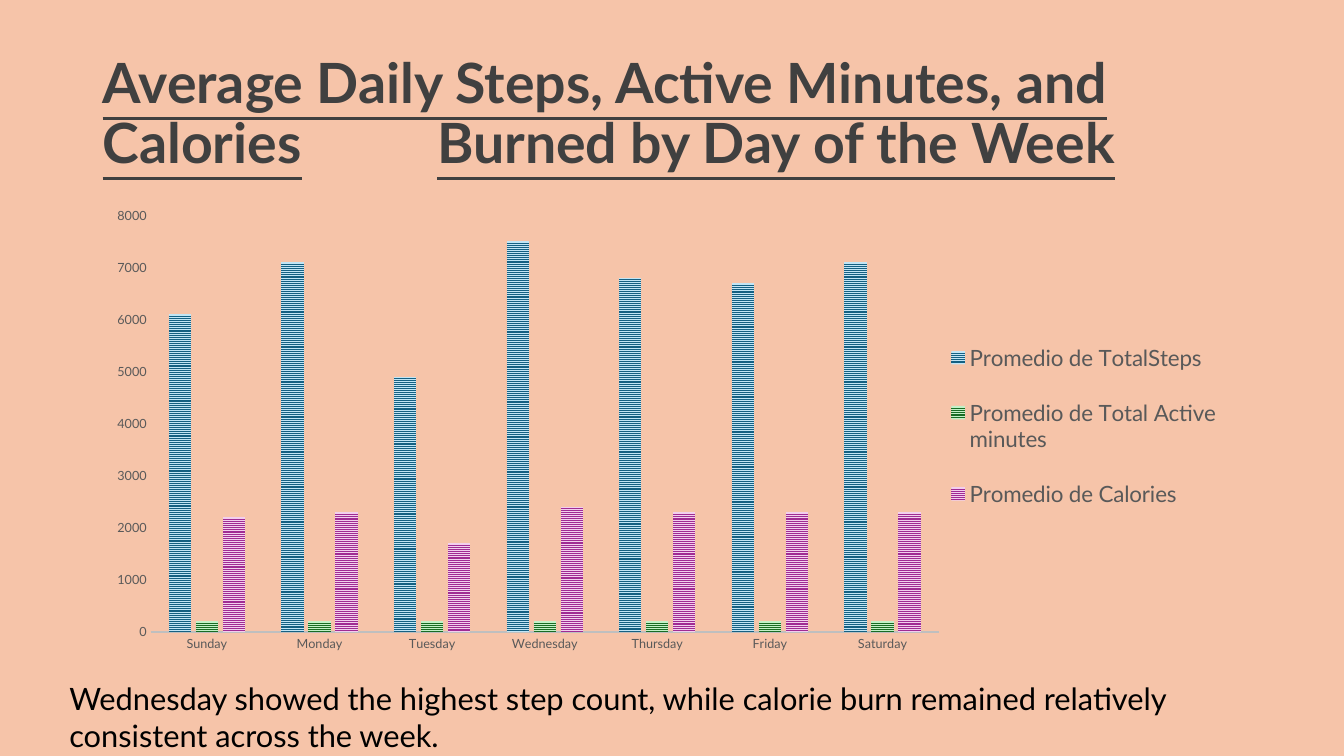
from lxml.etree import SubElement
from pptx import Presentation
from pptx.chart.data import CategoryChartData
from pptx.dml.color import RGBColor
from pptx.enum.chart import XL_CHART_TYPE, XL_LEGEND_POSITION, XL_TICK_MARK
from pptx.enum.dml import MSO_PATTERN
from pptx.oxml import parse_xml
from pptx.oxml.ns import nsdecls, qn
from pptx.util import Pt

FONT = "Lato"
PEACH = RGBColor(0xF6, 0xC4, 0xA9)
CHARCOAL = RGBColor(0x40, 0x40, 0x40)
GRAY = RGBColor(0x59, 0x59, 0x59)
SILVER = RGBColor(0xBF, 0xBF, 0xBF)
BLACK = RGBColor(0, 0, 0)
BLUE, PALE_BLUE = RGBColor(0x15, 0x60, 0x82), RGBColor(0xC1, 0xE5, 0xF5)
GREEN, PALE_GREEN = RGBColor(0x19, 0x6B, 0x24), RGBColor(0xC2, 0xF1, 0xC8)
PURPLE, PALE_PURPLE = RGBColor(0xA0, 0x2B, 0x93), RGBColor(0xF2, 0xCF, 0xEE)

TITLE = ("Average Daily Steps, Active Minutes, and\v"
         "Calories\tBurned by Day of the Week")
TAKEAWAY = ("Wednesday showed the highest step count, while calorie burn "
            "remained relatively consistent across the week.")
DAYS = ["Sunday", "Monday", "Tuesday", "Wednesday", "Thursday", "Friday", "Saturday"]
MEASURES = [
    ("Promedio de TotalSteps", [6100, 7100, 4900, 7500, 6800, 6700, 7100], BLUE, PALE_BLUE),
    ("Promedio de Total Active minutes", [200] * 7, GREEN, PALE_GREEN),
    ("Promedio de Calories", [2200, 2300, 1700, 2400, 2300, 2300, 2300], PURPLE, PALE_PURPLE),
]

TITLE_BOX = (66.2, 36.5, 866.9, 93)
CHART_BOX = (66.2, 144, 828, 326.9)
TAKEAWAY_BOX = (42.5, 481.7, 889.9, 60.5)
BURNED_TAB = 239
# Fractions of the chart: left, top, width, height
PLOT_AREA = (0.05, 0.03, 0.68, 0.91)
LEGEND_AREA = (0.73, 0.25, 0.25, 0.48)

TITLE_FORMAT = {"size": Pt(39.6), "bold": True, "underline": True}
AXIS_FORMAT = {"major_tick_mark": XL_TICK_MARK.NONE,
               "minor_tick_mark": XL_TICK_MARK.NONE,
               "has_major_gridlines": False}


def assign(target, values):
    for key, value in values.items():
        setattr(target, key, value)


def style_font(font, color, **values):
    assign(font, {"name": FONT, **values})
    font.color.rgb = color


def add_text(slide, box, text, color, **font_values):
    frame = slide.shapes.add_textbox(*map(Pt, box)).text_frame
    frame.word_wrap = True
    paragraph = frame.paragraphs[0]
    paragraph.text = text
    for run in paragraph.runs:
        style_font(run.font, color, **font_values)
    return paragraph


def layout_xml(area, inner=False):
    """Manual chart layout from fractions of the chart's size."""
    target = '<c:layoutTarget val="inner"/>' if inner else ""
    modes = "".join(f'<c:{m}Mode val="edge"/>' for m in "xy")
    sizes = "".join(f'<c:{n} val="{v}"/>' for n, v in zip("xywh", area))
    return parse_xml(f'<c:layout {nsdecls("c")}><c:manualLayout>{target}{modes}{sizes}'
                     '</c:manualLayout></c:layout>')


def add_activity_chart(slide):
    data = CategoryChartData(number_format="General")
    data.categories = DAYS
    for name, averages, _, _ in MEASURES:
        data.add_series(name, averages)
    chart = slide.shapes.add_chart(
        XL_CHART_TYPE.COLUMN_CLUSTERED, *map(Pt, CHART_BOX), data).chart
    chart.has_title = False
    style_font(chart.font, BLACK, size=Pt(10))

    plot = chart.plots[0]
    assign(plot, {"gap_width": 164, "overlap": -22, "vary_by_categories": False})
    for series, (_, _, stripe, ground) in zip(plot.series, MEASURES):
        fill = series.format.fill
        fill.patterned()
        fill.pattern = MSO_PATTERN.NARROW_HORIZONTAL
        fill.fore_color.rgb = stripe
        fill.back_color.rgb = ground

    for axis in (chart.category_axis, chart.value_axis):
        assign(axis, AXIS_FORMAT)
        style_font(axis.tick_labels.font, GRAY, size=Pt(9))
    day_line = chart.category_axis.format.line
    day_line.color.rgb = SILVER
    day_line.width = Pt(1.5)
    chart.value_axis.format.line.fill.background()
    assign(chart.value_axis, {"minimum_scale": 0, "maximum_scale": 8000, "major_unit": 1000})

    chart.has_legend = True
    legend = chart.legend
    assign(legend, {"position": XL_LEGEND_POSITION.RIGHT, "include_in_layout": False})
    style_font(legend.font, GRAY, size=Pt(16))

    plot_area = plot._element.getparent()
    for old in plot_area.findall(qn("c:layout")):
        plot_area.remove(old)
    plot_area.insert(0, layout_xml(PLOT_AREA, inner=True))
    legend_node = legend._element
    for old in legend_node.findall(qn("c:layout")):
        legend_node.remove(old)
    legend_node.find(qn("c:legendPos")).addnext(layout_xml(LEGEND_AREA))


def main():
    deck = Presentation()
    assign(deck, {"slide_width": Pt(960), "slide_height": Pt(540)})
    slide = deck.slides.add_slide(deck.slide_layouts[6])
    slide.background.fill.solid()
    slide.background.fill.fore_color.rgb = PEACH

    title = add_text(slide, TITLE_BOX, TITLE, CHARCOAL, **TITLE_FORMAT)
    title.line_spacing = 0.9
    tabs = SubElement(title._p.get_or_add_pPr(), qn("a:tabLst"))
    SubElement(tabs, qn("a:tab"), pos=str(Pt(BURNED_TAB)), algn="l")

    add_activity_chart(slide)
    add_text(slide, TAKEAWAY_BOX, TAKEAWAY, BLACK, size=Pt(22))
    deck.save("out.pptx")


if __name__ == "__main__":
    main()
